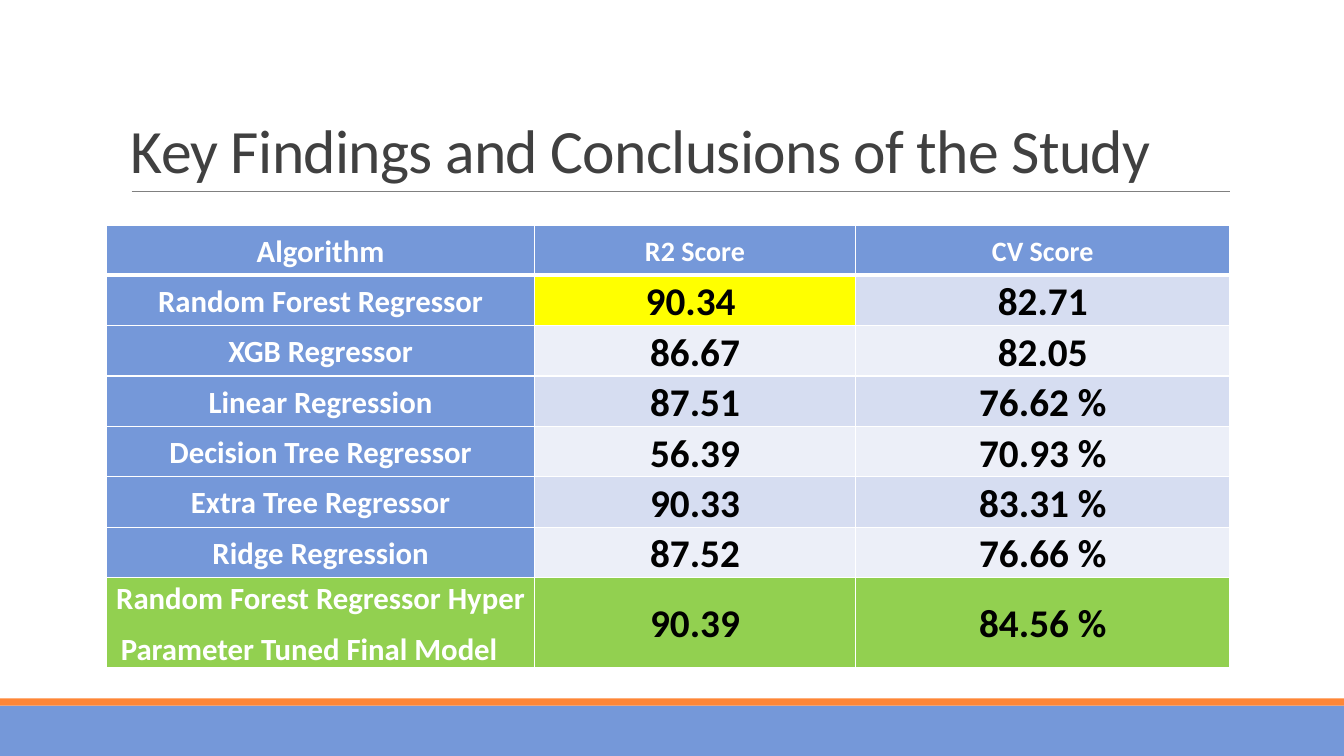
from lxml import etree
from pptx import Presentation
from pptx.dml.color import RGBColor
from pptx.enum import shapes, text
from pptx.oxml import ns
from pptx.util import Pt

BLUE = RGBColor(0x75, 0x98, 0xD9)
ORANGE = RGBColor(0xFE, 0x86, 0x37)
GRAY = RGBColor(0x80, 0x80, 0x80)
DARK = RGBColor(0x40, 0x40, 0x40)
WHITE = RGBColor(0xFF, 0xFF, 0xFF)
BLACK = RGBColor(0, 0, 0)
YELLOW = RGBColor(0xFF, 0xFF, 0)
GREEN = RGBColor(0x92, 0xD0, 0x50)
BANDS = [RGBColor(0xD6, 0xDD, 0xF1), RGBColor(0xEC, 0xEF, 0xF8)]

HEADERS = ["Algorithm", "R2 Score", "CV Score"]
SCORES = [
    ["Random Forest Regressor", "90.34 ", "82.71"],
    ["XGB Regressor", "86.67", "82.05"],
    ["Linear Regression", "87.51", "76.62 %"],
    ["Decision Tree Regressor", "56.39", "70.93 %"],
    ["Extra Tree Regressor", "90.33", "83.31 %"],
    ["Ridge Regression", "87.52", "76.66 %"],
    ["Random Forest Regressor Hyper\nParameter Tuned Final Model", "90.39", "84.56 %"],
]
COLUMN_WIDTHS = [305.3, 229.7, 267.1]
ROW_HEIGHT = 35.3


def write(frame, words, size, color, bold=False, align=text.PP_ALIGN.LEFT,
          line_spacing=1.0, space_after=0, tracking=0):
    """Fill a text frame, one paragraph for each line of words."""
    for number, line in enumerate(words.split("\n")):
        para = frame.add_paragraph() if number else frame.paragraphs[0]
        para.alignment = align
        para.line_spacing = line_spacing
        para.space_after = Pt(space_after)
        span = para.add_run()
        span.text = line
        span.font.name = "Calibri"
        span.font.size = Pt(size)
        span.font.bold = bold
        span.font.color.rgb = color
        if tracking:
            span.font._element.set("spc", str(round(tracking * 100)))


class ResultsSlide:
    def __init__(self, deck):
        self.page = deck.slides.add_slide(deck.slide_layouts[6])

    def bar(self, left, top, width, height, color):
        bar = self.page.shapes.add_shape(
            shapes.MSO_SHAPE.RECTANGLE, Pt(left), Pt(top), Pt(width), Pt(height))
        bar.shadow.inherit = False
        bar.fill.solid()
        bar.fill.fore_color.rgb = color
        bar.line.fill.background()

    def rule(self, left, right, y, color, weight):
        rule = self.page.shapes.add_connector(
            shapes.MSO_CONNECTOR.STRAIGHT, Pt(left), Pt(y), Pt(right), Pt(y))
        rule.line.color.rgb = color
        rule.line.width = Pt(weight)
        etree.SubElement(rule._element.spPr, ns.qn("a:effectLst"))

    def title(self, left, top, width, height, words):
        box = self.page.shapes.add_textbox(Pt(left), Pt(top), Pt(width), Pt(height))
        box.text_frame.word_wrap = True
        box.text_frame.vertical_anchor = text.MSO_ANCHOR.BOTTOM
        write(box.text_frame, words, 44, DARK, line_spacing=0.85, tracking=-0.5)

    def border(self, cell, **weights):
        for side, weight in weights.items():
            line = etree.SubElement(cell._tc.get_or_add_tcPr(), ns.qn(f"a:ln{side}"))
            line.set("w", str(Pt(weight)))
            fill = etree.SubElement(line, ns.qn("a:solidFill"))
            etree.SubElement(fill, ns.qn("a:srgbClr")).set("val", str(WHITE))

    def cell(self, cell, words, size, color, fill, top=1, bottom=1):
        self.border(cell, L=1, R=1, T=top, B=bottom)
        cell.fill.solid()
        cell.fill.fore_color.rgb = fill
        cell.vertical_anchor = text.MSO_ANCHOR.MIDDLE
        cell.margin_left = cell.margin_right = Pt(5)
        cell.margin_top = cell.margin_bottom = 0
        write(cell.text_frame, words, size, color, bold=True,
              align=text.PP_ALIGN.CENTER, line_spacing=1.07, space_after=8)

    def score_table(self, left, top):
        grid = self.page.shapes.add_table(
            len(SCORES) + 1, len(HEADERS), Pt(left), Pt(top),
            Pt(sum(COLUMN_WIDTHS)), Pt(ROW_HEIGHT * (len(SCORES) + 1))).table
        for column, width in zip(grid.columns, COLUMN_WIDTHS):
            column.width = Pt(width)
        for row in grid.rows:
            row.height = Pt(ROW_HEIGHT)

        for c, words in enumerate(HEADERS):
            self.cell(grid.cell(0, c), words, 20 if c else 22, WHITE, BLUE, bottom=3)
        for r, scores in enumerate(SCORES, 1):
            for c, words in enumerate(scores):
                if r == len(SCORES):
                    fill = GREEN
                elif (r, c) == (1, 1):
                    fill = YELLOW
                else:
                    fill = BANDS[(r - 1) % 2] if c else BLUE
                self.cell(grid.cell(r, c), words, 28 if c else 22,
                          BLACK if c else WHITE, fill, top=3 if r == 1 else 1)

        # The second line of the final model's name is left-aligned
        last_line = grid.cell(len(SCORES), 0).text_frame.paragraphs[1]
        last_line.alignment = text.PP_ALIGN.LEFT
        last_line._p.get_or_add_pPr().set("marL", str(Pt(5)))


def main():
    deck = Presentation()
    deck.slide_width, deck.slide_height = Pt(960), Pt(540)
    slide = ResultsSlide(deck)

    # Footer bands
    slide.bar(0, 504, 960, 36, BLUE)
    slide.bar(0, 498.8, 960, 5.2, ORANGE)

    # Heading
    slide.rule(94.1, 878.9, 136.9, GRAY, 0.5)
    slide.title(86.4, 22.6, 792, 114.2, "Key Findings and Conclusions of the Study")

    # Scores
    slide.score_table(76.3, 161.3)

    deck.save("out.pptx")


if __name__ == "__main__":
    main()
